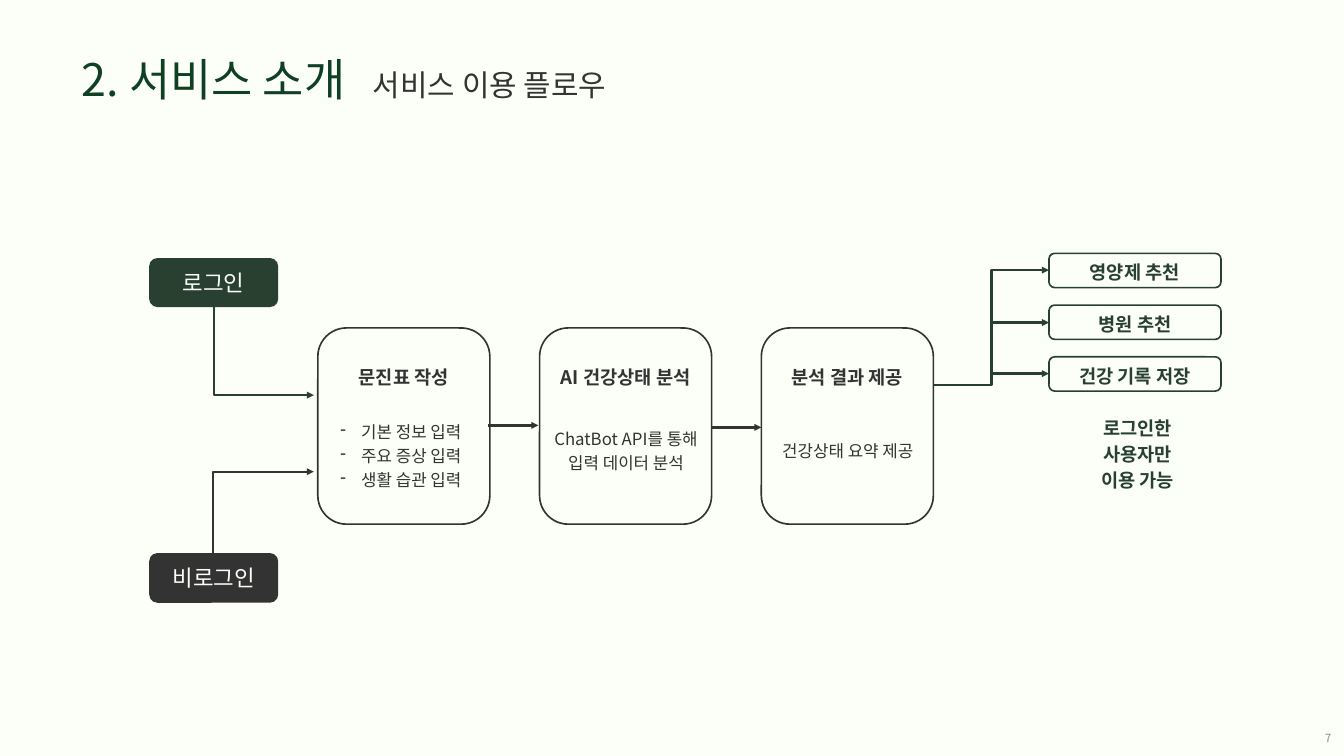
from pptx import Presentation, util as u
from pptx.dml.color import RGBColor
from pptx.enum import shapes as es, text as et
from pptx.oxml.ns import qn
from lxml import etree

In = u.Inches
FONT = "Noto Sans CJK KR"
PAPER, GREEN, DARK = "FBFFF7", "293F30", "333333"


def rgb(code):
    return RGBColor.from_string(code)


def sub(node, tag, **attrs):
    return etree.SubElement(node, qn(tag), attrs)


def write(shape, words, size, color=DARK, bold=False, align="CENTER",
          lead=None, anchor="TOP", left=0, dash=False):
    frame = shape.text_frame
    frame.word_wrap = True
    frame.vertical_anchor = et.MSO_ANCHOR[anchor]
    frame.margin_left = In(left)
    frame.margin_right = frame.margin_top = frame.margin_bottom = 0
    frame.text = words
    for para in frame.paragraphs:
        para.alignment = et.PP_ALIGN[align]
        if lead:
            para.line_spacing = u.Pt(lead)
        if dash:
            props = para._p.get_or_add_pPr()
            props.set("marL", str(In(0.31)))
            props.set("indent", str(-In(0.31)))
            sub(props, "a:buChar", char="-")
        for run in para.runs:
            font = run.font
            font.size, font.bold, font.name = u.Pt(size), bold, FONT
            font.color.rgb = rgb(color)
            sub(run._r.get_or_add_rPr(), "a:ea", typeface=FONT)


def label(slide, box, words, size, **form):
    area = slide.shapes.add_textbox(*map(In, box))
    write(area, words, size, **form)


def panel(slide, box, fill, line=None):
    shape = slide.shapes.add_shape(
        es.MSO_SHAPE.ROUNDED_RECTANGLE, *map(In, box))
    shape.shadow.inherit = False
    shape.fill.solid()
    shape.fill.fore_color.rgb = rgb(fill)
    if line:
        shape.line.color.rgb = rgb(line)
        shape.line.width = u.Pt(1.75)
    else:
        shape.line.fill.background()
    return shape


def arrow(slide, start, end, color, bend=None):
    kind = es.MSO_CONNECTOR.STRAIGHT if bend is None else es.MSO_CONNECTOR.ELBOW
    link = slide.shapes.add_connector(kind, *map(In, start + end))
    link.line.color.rgb = rgb(color)
    link.line.width = u.Pt(2.5)
    sub(link.line._get_or_add_ln(), "a:tailEnd", type="triangle")
    props = link.element.spPr
    sub(props, "a:effectLst")
    if bend is not None:
        guides = props.find(qn("a:prstGeom")).get_or_add_avLst()
        sub(guides, "a:gd", name="adj1", fmla=f"val {int(bend * 100000)}")


def header(slide, box):
    x, y, w, h = box
    title = slide.shapes.title
    title.left, title.top, title.width, title.height = map(In, box)
    write(title, "2. 서비스 소개", 48, color="104023", align="LEFT", left=0.25)
    title.text_frame.margin_top = In(0.05)
    label(slide, (x + 4.58, y + 0.46, 6.95, 0.37), "서비스 이용 플로우", 32,
          align="LEFT", lead=25.2)


def entry(slide, box, words, fill):
    write(panel(slide, box, fill), words, 24, color=PAPER, lead=28,
          anchor="MIDDLE")


def card(slide, box, head, body, drop, dash=False):
    x, y, w, h = box
    panel(slide, box, PAPER, DARK)
    label(slide, (x, y + 0.51, w, 0.36), head, 20, bold=True, lead=28)
    shift = 0.11 if dash else 0.16
    label(slide, (x + shift, y + drop, 2.25, 1.06), body, 18, lead=25.6,
          dash=dash)


def perks(slide, box, names, step):
    x, y, w, h = box
    for i, name in enumerate(names):
        tag = panel(slide, (x, y + i * step, w, h), PAPER, GREEN)
        write(tag, name, 20, color=GREEN, bold=True, lead=28, anchor="MIDDLE")
    label(slide, (x + 0.3, y + 2.37, 2.04, 0.75), "로그인한 사용자만\n이용 가능",
          20, color=GREEN, bold=True, lead=28)


def links(slide):
    arrow(slide, (3.18, 4.57), (4.67, 5.88), GREEN, bend=0)
    arrow(slide, (3.17, 8.23), (4.67, 7.02), DARK, bend=0)
    arrow(slide, (7.26, 6.33), (8.01, 6.33), DARK)
    arrow(slide, (10.59, 6.36), (11.33, 6.36), DARK)
    arrow(slide, (13.9, 5.73), (15.61, 4.02), GREEN, bend=0.5)
    for y in (4.8, 5.56):
        arrow(slide, (14.76, y), (15.61, y), GREEN)


def main():
    deck = Presentation()
    deck.slide_width, deck.slide_height = In(20), In(11.25)
    slide = deck.slides.add_slide(deck.slide_layouts[5])
    slide.background.fill.solid()
    slide.background.fill.fore_color.rgb = rgb(PAPER)

    header(slide, (0.97, 0.72, 9.02, 0.91))
    entry(slide, (2.22, 3.84, 1.92, 0.73), "로그인", GREEN)
    entry(slide, (2.22, 8.23, 1.92, 0.74), "비로그인", DARK)

    steps = [
        ("문진표 작성", "기본 정보 입력\n주요 증상 입력\n생활 습관 입력", 1.34, True),
        ("AI 건강상태 분석", "ChatBot API를 통해 입력 데이터 분석", 1.45, False),
        ("분석 결과 제공", "건강상태 요약 제공", 1.63, False),
    ]
    for i, step in enumerate(steps):
        card(slide, (4.73 + i * 3.3, 4.88, 2.56, 2.92), *step)

    perks(slide, (15.61, 3.77, 2.56, 0.51),
          ["영양제 추천", "병원 추천", "건강 기록 저장"], 0.77)
    links(slide)
    label(slide, (17.58, 10.79, 2.23, 0.4), "7", 12, color="888888",
          align="RIGHT", anchor="MIDDLE")
    deck.save("out.pptx")


if __name__ == "__main__":
    main()
